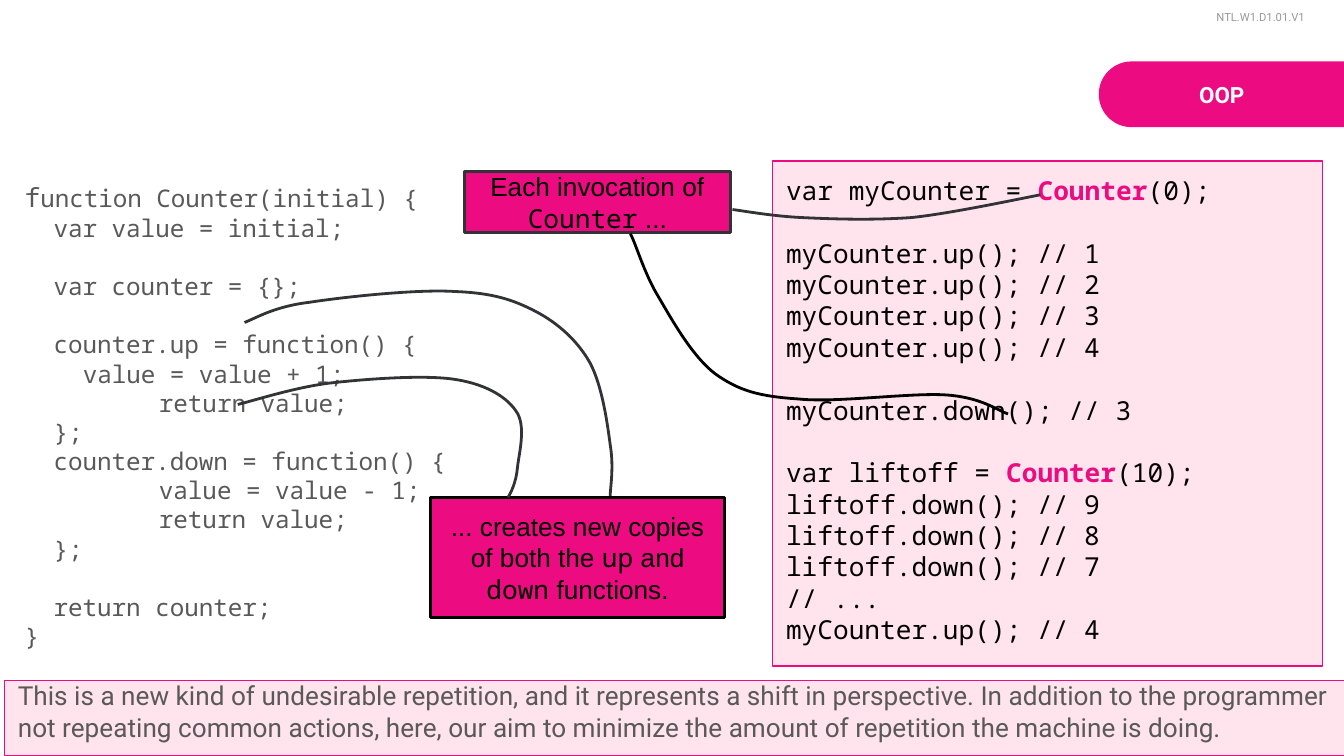
import dataclasses
import typing

import lxml.etree
import pptx
import pptx.dml.color
import pptx.enum.shapes
import pptx.enum.text
import pptx.oxml.ns
import pptx.slide
import pptx.util

Pt = pptx.util.Pt
qn = pptx.oxml.ns.qn
ALIGN = pptx.enum.text.PP_ALIGN
ANCHOR = pptx.enum.text.MSO_ANCHOR
SHAPE = pptx.enum.shapes.MSO_SHAPE

PINK, PALE, BLACK, GREY, DARK = "EC0B80", "FF7CAD", "000000", "595959", "323337"
MONO, SANS, ROBOTO = "Noto Sans Mono", "Arial", "Roboto"
INSET = 7.2
CODE_STEP = 15.6
TAB = 72


class Run(typing.NamedTuple):
    text: str
    size: float = 14
    font: str = MONO
    color: str = BLACK
    bold: bool = False


class Line(typing.NamedTuple):
    runs: list[Run]
    indent: float = 0
    gap: float = 0
    align: ALIGN = ALIGN.LEFT
    spacing: float = 1.0


@dataclasses.dataclass
class Box:
    left: float
    top: float
    width: float
    height: float
    lines: list[Line]
    fill: str | None = None
    opacity: int = 100
    line: str = PINK
    line_width: float = 0.75
    anchor: ANCHOR = ANCHOR.TOP


class Curve(typing.NamedTuple):
    """A start point and cubic segments of two controls and an end."""
    start: tuple[float, float]
    segments: list[tuple[float, ...]]
    color: str = DARK


def rgb(color: str) -> pptx.dml.color.RGBColor:
    return pptx.dml.color.RGBColor.from_string(color)


def apply_format(target: typing.Any, values: dict[str, typing.Any]) -> None:
    for name, value in values.items():
        setattr(target, name, value)


def write_lines(frame: typing.Any, lines: list[Line], anchor: ANCHOR) -> None:
    margins = {f"margin_{side}": Pt(INSET) for side in ("left", "top", "right", "bottom")}
    apply_format(frame, {"word_wrap": True, "vertical_anchor": anchor, **margins})
    for index, line in enumerate(lines):
        paragraph = frame.add_paragraph() if index else frame.paragraphs[0]
        apply_format(paragraph, {"alignment": line.align, "space_before": Pt(line.gap),
                                 "line_spacing": line.spacing})
        if line.indent:
            paragraph._p.get_or_add_pPr().set("marL", str(Pt(line.indent)))
        for part in line.runs:
            run = paragraph.add_run()
            run.text = part.text
            apply_format(run.font, {"size": Pt(part.size), "name": part.font, "bold": part.bold})
            run.font.color.rgb = rgb(part.color)


def fill_shape(shape: typing.Any, color: str, opacity: int = 100) -> None:
    shape.shadow.inherit = False
    shape.fill.solid()
    shape.fill.fore_color.rgb = rgb(color)
    if opacity < 100:
        color_element = shape._element.spPr.find(qn("a:solidFill")).find(qn("a:srgbClr"))
        lxml.etree.SubElement(color_element, qn("a:alpha")).set("val", str(opacity * 1000))


def draw_box(slide: pptx.slide.Slide, box: Box) -> None:
    bounds = [Pt(value) for value in (box.left, box.top, box.width, box.height)]
    if box.fill:
        shape = slide.shapes.add_shape(SHAPE.RECTANGLE, *bounds)
        fill_shape(shape, box.fill, box.opacity)
        shape.line.color.rgb = rgb(box.line)
        shape.line.width = Pt(box.line_width)
    else:
        shape = slide.shapes.add_textbox(*bounds)
    write_lines(shape.text_frame, box.lines, box.anchor)


def draw_curve(slide: pptx.slide.Slide, curve: Curve) -> None:
    """Build a freeform through the end points, then bend each line into a cubic."""
    builder = slide.shapes.build_freeform(*(Pt(value) for value in curve.start))
    builder.add_line_segments([(Pt(s[4]), Pt(s[5])) for s in curve.segments], close=False)
    shape = builder.convert_to_shape()
    straight_lines = list(shape._element.iter(qn("a:lnTo")))
    for straight, segment in zip(straight_lines, curve.segments):
        cubic = lxml.etree.Element(qn("a:cubicBezTo"))
        for x, y in zip(segment[::2], segment[1::2]):
            point = lxml.etree.SubElement(cubic, qn("a:pt"))
            point.set("x", str(Pt(x) - shape.left))
            point.set("y", str(Pt(y) - shape.top))
        straight.getparent().replace(straight, cubic)
    shape.shadow.inherit = False
    shape.fill.background()
    shape.line.color.rgb = rgb(curve.color)
    shape.line.width = Pt(1.5)


def draw_pill(slide: pptx.slide.Slide) -> None:
    pill = slide.shapes.add_shape(SHAPE.ROUND_2_SAME_RECTANGLE,
                                  Pt(636.9), Pt(-15.4), Pt(35.3), Pt(131.8))
    pill.rotation = 270
    pill.adjustments[0], pill.adjustments[1] = 0.5, 0
    fill_shape(pill, PINK)
    pill.line.fill.background()


def code(text: str, indent: float = 0, gap: float = 0) -> Line:
    return Line([Run(text, 13, color=GREY)], indent, gap)


def usage(text: str, gap: float = 0) -> Line:
    """A line of the usage listing, with the constructor name picked out."""
    before, name, after = text.partition("Counter(")
    if not name:
        return Line([Run(text)], gap=gap)
    return Line([Run(before), Run("Counter", color=PINK, bold=True), Run("(" + after)], gap=gap)


def callout(*parts: tuple[str, str]) -> list[Line]:
    return [Line([Run(text, font=font) for text, font in parts], align=ALIGN.CENTER)]


BLANK, USAGE_BLANK = 15.6, 16.8
definition = [
    Line([Run("f", 14, color=GREY), Run("unction Counter(initial) {", 13, color=GREY)]),
    code("var value = initial;", CODE_STEP),
    code("var counter = {};", CODE_STEP, BLANK),
    code("counter.up = function() {", CODE_STEP, BLANK),
    code("value = value + 1;", 2 * CODE_STEP),
    code("return value;", TAB),
    code("};", CODE_STEP),
    code("counter.down = function() {", CODE_STEP),
    code("value = value - 1;", TAB),
    code("return value;", TAB),
    code("};", CODE_STEP),
    code("return counter;", CODE_STEP, BLANK),
    code("}"),
]
calls = [
    usage("var myCounter = Counter(0);"),
    *(usage(f"myCounter.up(); // {n}", USAGE_BLANK if n == 1 else 0) for n in range(1, 5)),
    usage("myCounter.down(); // 3", USAGE_BLANK),
    usage("var liftoff = Counter(10);", USAGE_BLANK),
    *(usage(f"liftoff.down(); // {n}") for n in (9, 8, 7)),
    usage("// ..."),
    usage("myCounter.up(); // 4"),
]
summary = ("This is a new kind of undesirable repetition, and it represents a shift in perspective. "
           "In addition to the programmer not repeating common actions, here, our aim to minimize "
           "the amount of repetition the machine is doing.")
copies = callout(("... creates new copies of both the ", SANS), ("up", MONO), (" and ", SANS),
                 ("down", MONO), (" functions.", SANS))
invocation = callout(("Each invocation of ", SANS), ("Counter", MONO), (" ...", SANS))

ITEMS: list[Box | Curve] = [
    Box(592.6, 36.3, 123.8, 28.8,
        [Line([Run("OOP", 12, ROBOTO, "FFFFFF", True)], align=ALIGN.CENTER)]),
    Box(644.6, 0.3, 69.8, 21.6,
        [Line([Run("NTL.W1.D1.01.V1", 6, ROBOTO, "999999")], spacing=1.15)]),
    Box(6.1, 90.2, 347.8, 320.4, definition),
    Box(2.5, 364.6, 720, 40.3, [Line([Run(summary, 14, ROBOTO, GREY)])], PALE, 21,
        anchor=ANCHOR.BOTTOM),
    Box(414, 86.2, 294.5, 270.7, calls, PALE, 21),
    Box(230.6, 266.4, 157.7, 64.5, copies, PINK, 100, BLACK, 1.5, ANCHOR.MIDDLE),
    Curve((272.2, 266.4), [
        (273.6, 264.2, 276.5, 258.5, 277.2, 250.6), (277.9, 243.4, 282.2, 228.2, 276.5, 220.3),
        (270.7, 211.7, 258.5, 205.2, 241.9, 203), (225.4, 200.9, 196.6, 203, 177.1, 205.2),
        (158.4, 207.4, 136.1, 214.6, 127.4, 216.7)]),
    Curve((326.9, 265.7), [
        (326.9, 261.4, 329, 250.6, 326.9, 238.3), (325.4, 226.8, 322.6, 206.6, 316.1, 194.4),
        (309.6, 182.9, 299.5, 173.5, 287.3, 167), (275, 160.6, 264.2, 157, 244.1, 156.2),
        (223.9, 154.8, 184.3, 159.1, 165.6, 162), (146.9, 164.2, 136.8, 170.6, 131, 172.8)]),
    Box(248.7, 91.7, 142.6, 33.1, invocation, PINK, 100, DARK, 1.5, ANCHOR.MIDDLE),
    Curve((392.4, 112.3), [
        (398.2, 113, 414, 115.9, 429.8, 116.6), (446.4, 117.4, 466.6, 118.1, 488.2, 116.6),
        (509, 114.5, 545.8, 106.6, 557.3, 104.4)]),
    Curve((337.7, 125.3), [
        (340.6, 130.3, 344.9, 146.2, 352.8, 159.1), (360, 171.4, 370.8, 190.8, 383, 200.2),
        (396, 209.5, 406.8, 212.4, 427.7, 213.8), (447.8, 216, 488.9, 210.2, 507.6, 211.7),
        (526.3, 213.1, 535, 220.3, 540, 221.8)], BLACK),
]

presentation = pptx.Presentation()
apply_format(presentation, {"slide_width": Pt(720), "slide_height": Pt(405)})
slide = presentation.slides.add_slide(presentation.slide_layouts[6])
draw_pill(slide)
for item in ITEMS:
    if isinstance(item, Box):
        draw_box(slide, item)
    else:
        draw_curve(slide, item)
presentation.save("out.pptx")
